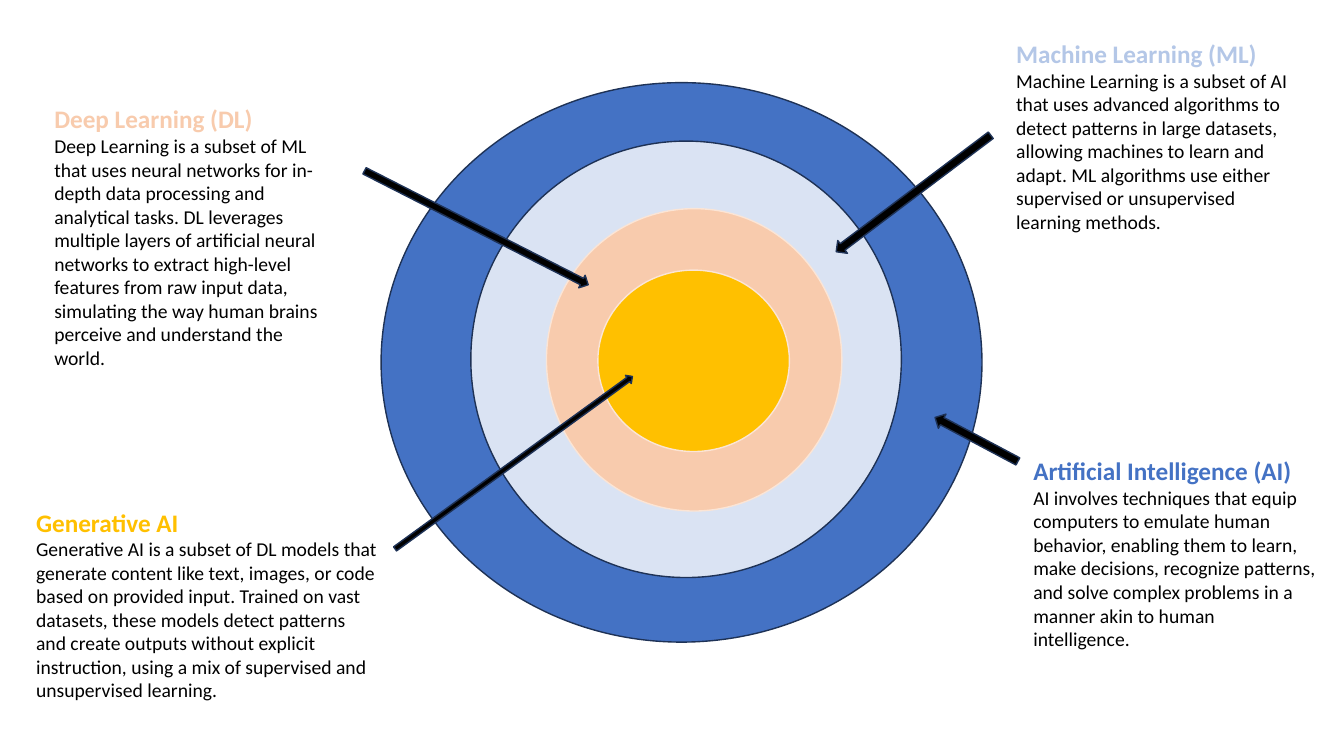
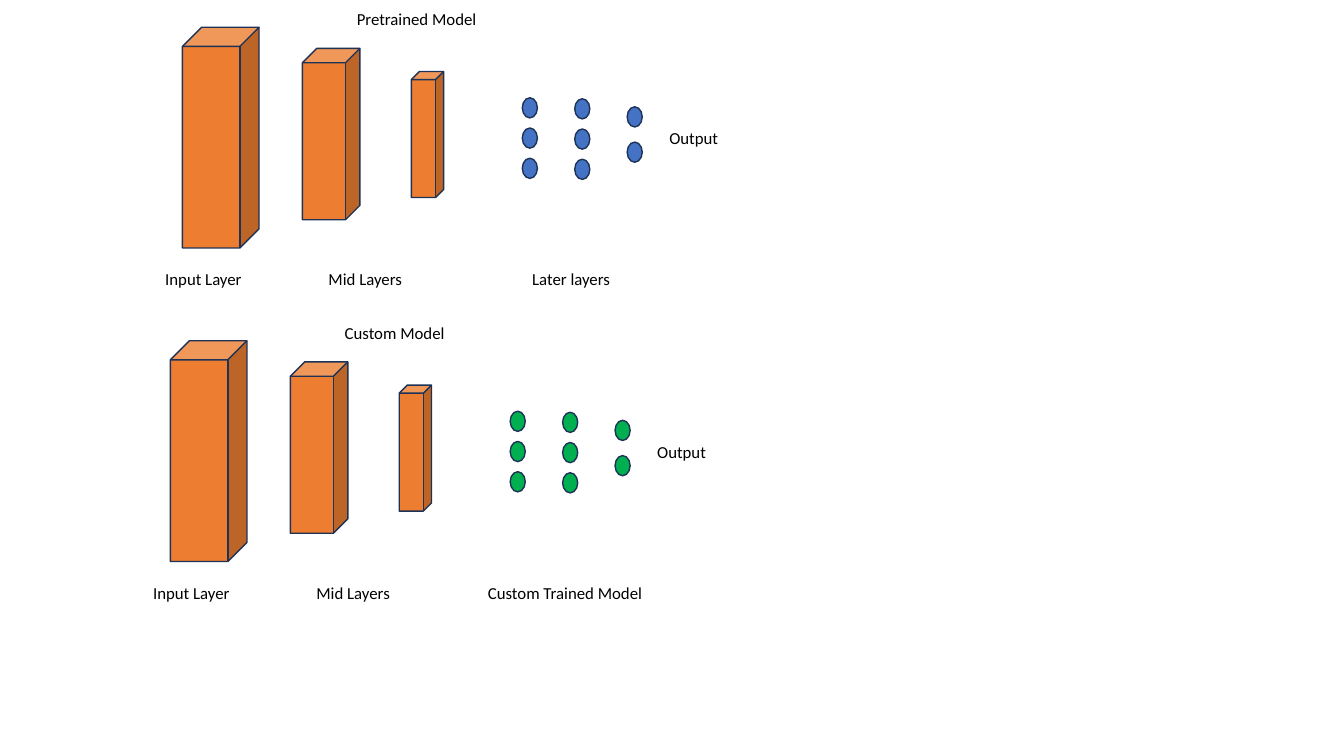
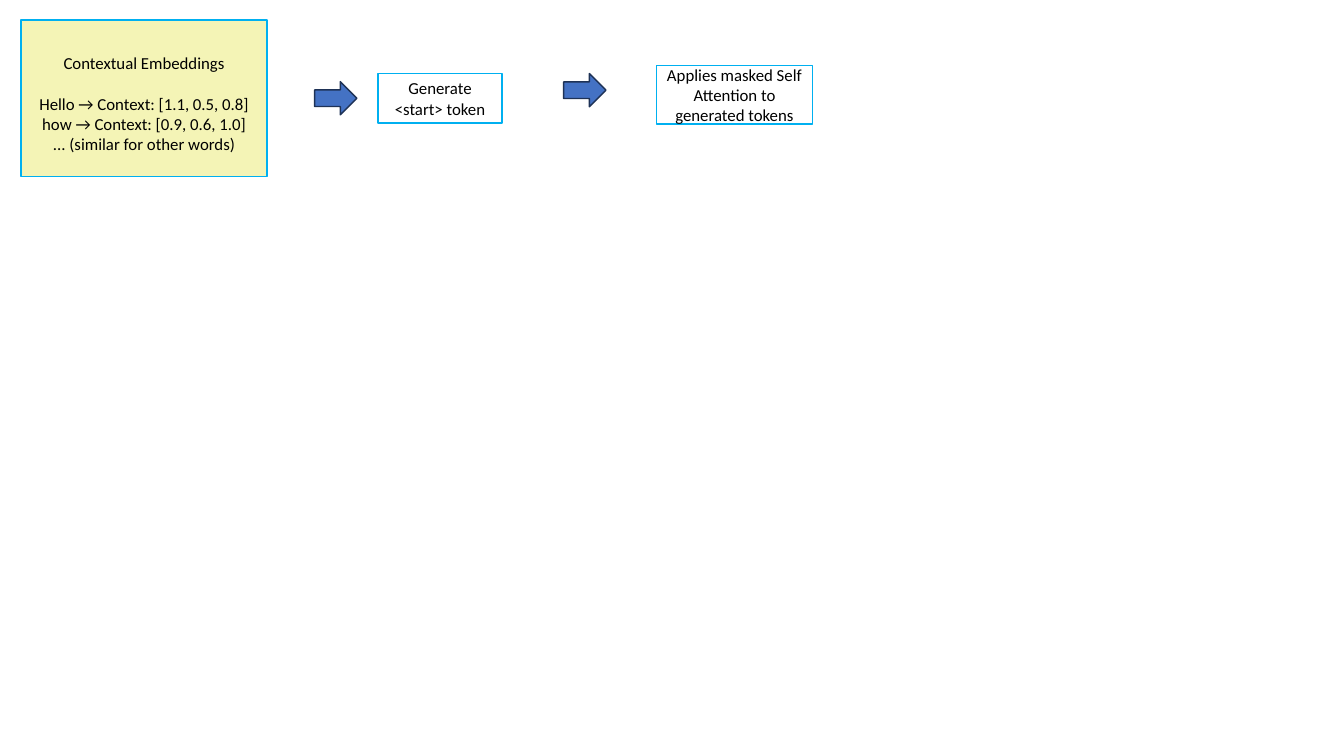
from lxml.etree import SubElement
from pptx import Presentation
from pptx.dml.color import RGBColor
from pptx.enum.shapes import MSO_SHAPE as Shape
from pptx.enum.text import MSO_ANCHOR as Anchor, MSO_AUTO_SIZE as AutoSize, PP_ALIGN as Align
from pptx.oxml.ns import qn
from pptx.util import Pt

SCALE = 9144  # EMU per px, 100 px to the inch
FONT = "Calibri"
BLACK, WHITE, NAVY = "000000", "FFFFFF", "1E3256"
BLUE, PALE_BLUE, SOFT_BLUE = "4472C4", "DAE3F3", "B4C7E7"
PEACH, CREAM, GOLD = "F8CBAD", "FBE5D6", "FFC000"
ORANGE, GREEN, CYAN, YELLOW = "ED7D31", "00B050", "00B0F0", "EDED82"
hex_color = RGBColor.from_string


def draw(page, kind, place, fill=None, line=NAVY, rotation=0):
    """Add a preset shape, or a text box when kind is None; place is in px."""
    place = [length * SCALE for length in place]
    if kind is None:
        box = page.shapes.add_textbox(*place)
        box.text_frame.auto_size = AutoSize.SHAPE_TO_FIT_TEXT
    else:
        box = page.shapes.add_shape(kind, *place)
        box.shadow.inherit = False
        box.fill.solid()
        box.fill.fore_color.rgb = hex_color(fill)
        box.line.color.rgb = hex_color(line)
        box.line.width = Pt(1)
        box.rotation = rotation
        box.text_frame.vertical_anchor = Anchor.MIDDLE
    box.text_frame.word_wrap = True
    return box


def write(box, text, size=12, color=BLACK, bold=False, align=Align.LEFT, before=0):
    """Add one paragraph, filling the empty first one if there is one."""
    frame = box.text_frame
    para = frame.add_paragraph() if frame.text else frame.paragraphs[0]
    para.alignment = align
    para.space_before = Pt(before)
    span = para.add_run()
    span.text = text
    span.font.name = FONT
    span.font.size = Pt(size)
    span.font.bold = bold
    span.font.color.rgb = hex_color(color)


deck = Presentation()
deck.slide_width, deck.slide_height = 1333 * SCALE, 750 * SCALE
rings_page, models_page, tokens_page = [
    deck.slides.add_slide(deck.slide_layouts[6]) for _ in range(3)]

# Slide 1: nested fields of AI
for place, fill, line in [
    ((378, 82, 596, 555), BLUE, NAVY),
    ((467, 140, 427, 433), PALE_BLUE, NAVY),
    ((542, 207, 293, 300), PEACH, CREAM),
    ((593, 268, 190, 180), GOLD, CREAM),
]:
    draw(rings_page, Shape.OVAL, place, fill, line)

for place, title, color, body in [
    ((26, 498, 360, 236), "Generative AI", GOLD,
     "Generative AI is a subset of DL models that generate content like text, images, or code "
     "based on provided input. Trained on vast datasets, these models detect patterns and create "
     "outputs without explicit instruction, using a mix of supervised and unsupervised learning."),
    ((44, 98, 300, 276), "Deep Learning (DL)", PEACH,
     "Deep Learning is a subset of ML that uses neural networks for in-depth data processing and "
     "analytical tasks. DL leverages multiple layers of artificial neural networks to extract "
     "high-level features from raw input data, simulating the way human brains perceive and "
     "understand the world."),
    ((998, 33, 300, 205), "Machine Learning (ML)", SOFT_BLUE,
     "Machine Learning is a subset of AI that uses advanced algorithms to detect patterns in "
     "large datasets, allowing machines to learn and adapt. ML algorithms use either supervised "
     "or unsupervised learning methods."),
    ((1015, 447, 300, 205), "Artificial Intelligence (AI)", BLUE,
     "AI involves techniques that equip computers to emulate human behavior, enabling them to "
     "learn, make decisions, recognize patterns, and solve complex problems in a manner akin to "
     "human intelligence."),
]:
    box = draw(rings_page, None, place)
    write(box, title, size=18, color=color, bold=True)
    write(box, body, size=14)

for place, rotation in [
    ((364, 454, 291, 10), 144),
    ((922, 428, 93, 16), 28),
    ((810, 184, 192, 16), 323),
    ((348, 219, 249, 14), 207),
]:
    draw(rings_page, Shape.LEFT_ARROW, place, BLACK, rotation=rotation)

# Slide 2: pretrained network above, custom network below
CUBES = [(181, 27, 76, 219), (300, 48, 57, 170), (408, 71, 32, 125)]
DOT_COLUMNS = [(518, 97, 30, 3), (570, 98, 30, 3), (622, 106, 35, 2)]  # left, top, pitch, count
for dx, dy, dot_color, title, last_label, last_left, last_width in [
    (0, 0, BLUE, "Pretrained Model", "Later layers", 518, 114),
    (-12, 311, GREEN, "Custom Model", "Custom Trained Model", 486, 198),
]:
    for left, top, width, height in CUBES:
        draw(models_page, Shape.CUBE, (left + dx, top + dy, width, height), ORANGE)
    for left, top, pitch, count in DOT_COLUMNS:
        for row in range(count):
            place = (left + dx, top + row * pitch + dy, 15, 20)
            draw(models_page, Shape.FLOWCHART_CONNECTOR, place, dot_color)
    for left, top, width, label in [
        (344, 4, 285, title),
        (154, 262, 107, "Input Layer"),
        (316, 262, 107, "Mid Layers"),
        (654, 122, 77, "Output"),
        (last_left, 262, last_width, last_label),
    ]:
        write(draw(models_page, None, (left + dx, top + dy, width, 30)), label)

# Slide 3: from embeddings to masked attention
embeddings = draw(tokens_page, Shape.RECTANGLE, (21, 20, 244, 155), YELLOW, CYAN)
fill_color = embeddings._element.spPr.find(qn("a:solidFill")).find(qn("a:srgbClr"))
SubElement(fill_color, qn("a:alpha")).set("val", "58000")
embeddings.text_frame.margin_top = 15 * SCALE
for text, before in [
    ("Contextual Embeddings", 0),
    ("Hello → Context: [1.1, 0.5, 0.8]", 15),
    ("how → Context: [0.9, 0.6, 1.0]", 0),
    ("... (similar for other words)", 0),
]:
    write(embeddings, text, align=Align.CENTER, before=before)

for left, top in [(312, 81), (559, 73)]:
    draw(tokens_page, Shape.RIGHT_ARROW, (left, top, 42, 33), BLUE)
for place, text in [
    ((375, 73, 123, 49), "Generate <start> token"),
    ((651, 65, 155, 58), "Applies masked Self Attention to generated tokens"),
]:
    write(draw(tokens_page, Shape.RECTANGLE, place, WHITE, CYAN), text, align=Align.CENTER)

deck.save("out.pptx")
